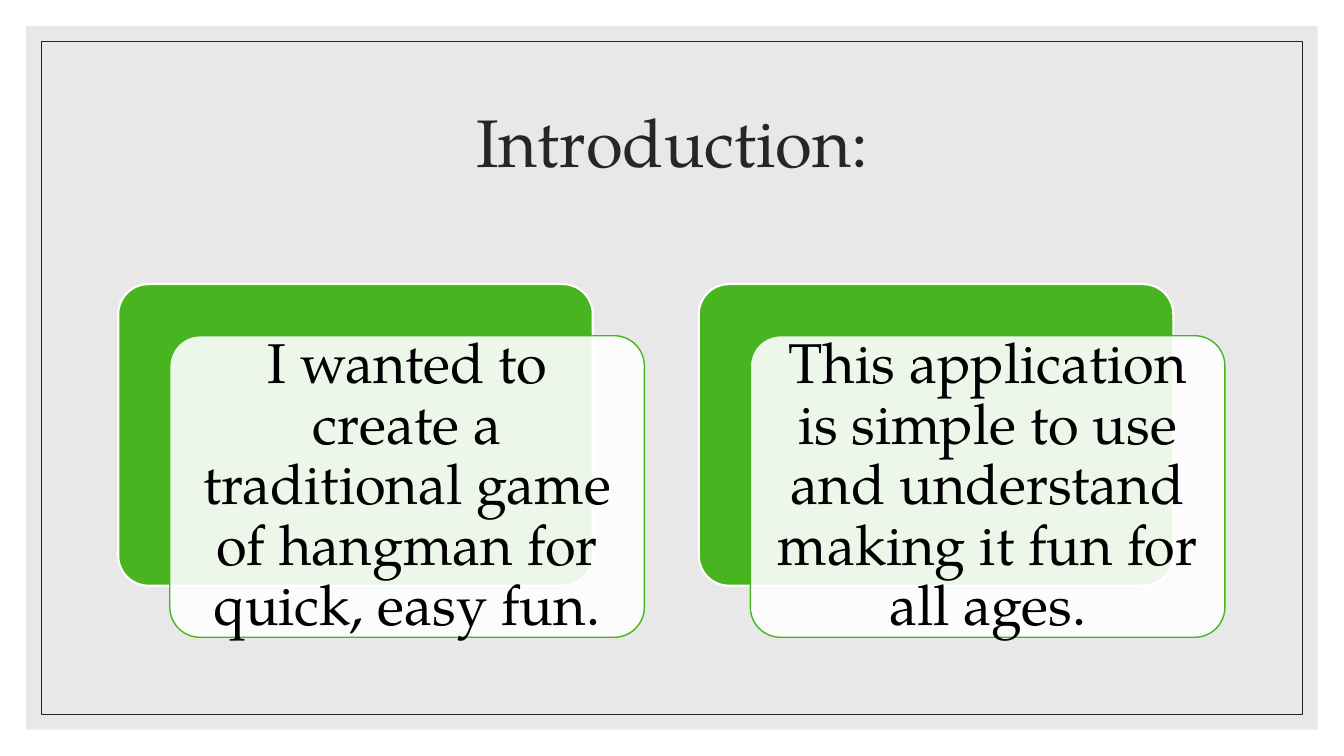
import dataclasses

import pptx
import pptx.dml.color
import pptx.enum.shapes
import pptx.enum.text
import pptx.oxml.ns
import pptx.util
from lxml import etree

Cm = pptx.util.Cm
Pt = pptx.util.Pt
Kind = pptx.enum.shapes.MSO_SHAPE


@dataclasses.dataclass(frozen=True)
class Theme:
    """Colours, font and type sizes of the slide."""
    white: str = "FFFFFF"
    panel: str = "D9D9D9"
    dark: str = "262626"
    green: str = "48B520"
    black: str = "000000"
    font: str = "TeX Gyre Pagella"
    title_size: int = 48
    card_size: int = 40


THEME = Theme()


def rgb(color):
    """Return the colour object for a hex string."""
    return pptx.dml.color.RGBColor.from_string(color)


def add_box(s, kind, box, fill=None, alpha=100, line=None, width=1):
    """Draw a preset shape in a box given in centimetres."""
    sp = s.shapes.add_shape(kind, *map(Cm, box))
    sp.shadow.inherit = False
    if kind == Kind.ROUNDED_RECTANGLE:
        sp.adjustments[0] = 0.1
    if fill:
        sp.fill.solid()
        sp.fill.fore_color.rgb = rgb(fill)
        if alpha < 100:
            color = sp.fill._xPr.find(".//" + pptx.oxml.ns.qn("a:srgbClr"))
            etree.SubElement(color, pptx.oxml.ns.qn("a:alpha"), val=str(alpha * 1000))
    else:
        sp.fill.background()
    if line:
        sp.line.color.rgb = rgb(line)
        sp.line.width = Pt(width)
    else:
        sp.line.fill.background()
    return sp


def add_text(s, text, box, size, color, inset=0.25):
    """Place centred text in a box given in centimetres."""
    tf = s.shapes.add_textbox(*map(Cm, box)).text_frame
    tf.word_wrap = True
    tf.vertical_anchor = pptx.enum.text.MSO_ANCHOR.MIDDLE
    tf.margin_left = tf.margin_right = tf.margin_top = tf.margin_bottom = Cm(inset)
    p = tf.paragraphs[0]
    p.alignment = pptx.enum.text.PP_ALIGN.CENTER
    p.line_spacing = 0.9
    r = p.add_run()
    r.text = text
    r.font.name = THEME.font
    r.font.size = Pt(size)
    r.font.color.rgb = rgb(color)


def add_frame(s, width, height):
    """Draw the grey panel and the thin border inside the slide edges."""
    def inset(m):
        return m, m, width - 2 * m, height - 2 * m

    s.background.fill.solid()
    s.background.fill.fore_color.rgb = rgb(THEME.white)
    add_box(s, Kind.RECTANGLE, inset(0.66), fill=THEME.panel, alpha=60)
    add_box(s, Kind.RECTANGLE, inset(1.04), line=THEME.dark, width=0.5)


def add_card(s, text, box):
    """Draw a green card with a translucent text card shifted over it."""
    x, y, w, h = box
    shift, pad = 1.3, 0.22
    front_x, front_y = x + shift, y + shift
    add_box(s, Kind.ROUNDED_RECTANGLE, box,
            fill=THEME.green, line=THEME.white, width=1.5)
    add_box(s, Kind.ROUNDED_RECTANGLE, (front_x, front_y, w, h),
            fill=THEME.white, alpha=90, line=THEME.green)
    add_text(s, text, (front_x + pad, front_y + pad, w - 2 * pad, h - 2 * pad),
             THEME.card_size, THEME.black, inset=0.42)


def add_cards(s, texts, box, pitch):
    """Set the cards side by side, the first one in the given box."""
    x, y, w, h = box
    for i, text in enumerate(texts):
        add_card(s, text, (x + i * pitch, y, w, h))


def main():
    """Build the introduction slide and save it."""
    width, height = 33.87, 19.05
    prs = pptx.Presentation()
    prs.slide_width, prs.slide_height = Cm(width), Cm(height)
    s = prs.slides.add_slide(prs.slide_layouts[6])
    add_frame(s, width, height)
    add_text(s, "Introduction:", (2.97, 1.78, 27.94, 3.81),
             THEME.title_size, THEME.dark)
    add_cards(s, [
        "I wanted to create a traditional game of hangman for quick, easy fun.",
        "This application is simple to use and understand making it fun for all ages.",
    ], (2.98, 7.16, 11.96, 7.6), 14.63)
    prs.save("out.pptx")


if __name__ == "__main__":
    main()
